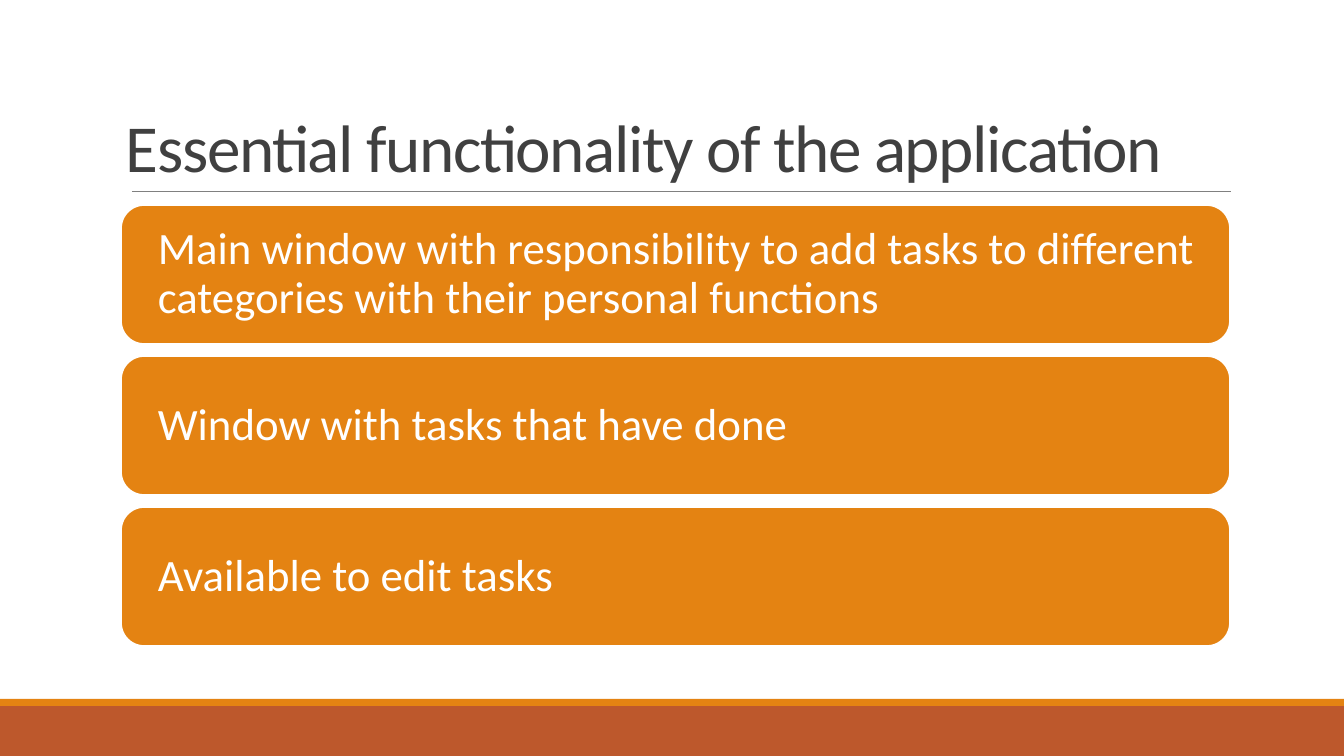
from lxml import etree
from pptx import Presentation
from pptx.dml.color import RGBColor
from pptx.enum.shapes import MSO_CONNECTOR, MSO_SHAPE
from pptx.enum.text import MSO_ANCHOR, MSO_AUTO_SIZE, PP_ALIGN
from pptx.oxml.ns import qn
from pptx.util import Pt

RECT, ROUNDED = MSO_SHAPE.RECTANGLE, MSO_SHAPE.ROUNDED_RECTANGLE
STRAIGHT = MSO_CONNECTOR.STRAIGHT
MIDDLE, BOTTOM = MSO_ANCHOR.MIDDLE, MSO_ANCHOR.BOTTOM
LEFT, NO_AUTOFIT = PP_ALIGN.LEFT, MSO_AUTO_SIZE.NONE

TITLE = "Essential functionality of the application"
FUNCTIONS = [
    "Main window with responsibility to add tasks to different categories "
    "with their personal functions",
    "Window with tasks that have done",
    "Available to edit tasks",
]
FONT = "Calibri"
ORANGE, RUST, WHITE = "E48312", "BD582C", "FFFFFF"
TITLE_COLOR, RULE_COLOR = "404040", "808080"

SLIDE_W, SLIDE_H = 1344, 756
FOOTER_BANDS = [(706, 50, RUST), (699, 7, ORANGE)]  # top, height, colour
RULE_LEFT, RULE_RIGHT, RULE_Y = 132, 1231, 191
TITLE_BOX = (121, 31, 1109, 160)
CARD_LEFT, CARD_TOP, CARD_W, CARD_H = 121, 205, 1109, 139
CARD_PITCH = 151
CARD_INSET, TITLE_INSET, HANGING = 20, 5, 10


def px(length):
    return round(length * 12192000 / SLIDE_W)


def color(hex_string):
    return RGBColor.from_string(hex_string)


def add_filled(slide, preset, box, fill):
    shape = slide.shapes.add_shape(preset, *map(px, box))
    shape.shadow.inherit = False
    shape.fill.solid()
    shape.fill.fore_color.rgb = color(fill)
    shape.line.fill.background()
    return shape


def set_text(shape, text, size, ink, spacing, inset, anchor):
    """Fill the shape with one formatted paragraph and return the paragraph."""
    frame = shape.text_frame
    frame.text = text
    frame.word_wrap = True
    frame.auto_size = NO_AUTOFIT
    frame.vertical_anchor = anchor
    frame.margin_left = frame.margin_right = px(inset)
    frame.margin_top = frame.margin_bottom = px(TITLE_INSET)
    paragraph = frame.paragraphs[0]
    paragraph.alignment = LEFT
    paragraph.line_spacing = spacing
    font = paragraph.runs[0].font
    font.name, font.size = FONT, Pt(size)
    font.color.rgb = color(ink)
    return paragraph


def add_blank_bullet(paragraph):
    """Hang the paragraph on a bullet that is a single space."""
    properties = paragraph._p.get_or_add_pPr()
    properties.set("marL", str(px(HANGING)))
    properties.set("indent", str(-px(HANGING)))
    bullet_color = etree.SubElement(properties, qn("a:buClr"))
    etree.SubElement(bullet_color, qn("a:srgbClr"), val=ORANGE)
    etree.SubElement(properties, qn("a:buFont"), typeface=FONT)
    etree.SubElement(properties, qn("a:buChar"), char=" ")


def add_title(slide):
    title = slide.shapes.title
    title.left, title.top, title.width, title.height = map(px, TITLE_BOX)
    paragraph = set_text(title, TITLE, 48, TITLE_COLOR, 0.85, TITLE_INSET, BOTTOM)
    paragraph.runs[0].font._element.set("spc", "-100")


def add_rule(slide):
    rule = slide.shapes.add_connector(
        STRAIGHT, *map(px, (RULE_LEFT, RULE_Y, RULE_RIGHT, RULE_Y)))
    rule.line.color.rgb = color(RULE_COLOR)
    rule.line.width = Pt(0.5)
    etree.SubElement(rule._element.spPr, qn("a:effectLst"))


def add_card(slide, index, text):
    top = CARD_TOP + index * CARD_PITCH
    card = add_filled(slide, ROUNDED, (CARD_LEFT, top, CARD_W, CARD_H), ORANGE)
    card.line.color.rgb = color(WHITE)
    card.line.width = Pt(1.25)
    add_blank_bullet(set_text(card, text, 32, WHITE, 0.9, CARD_INSET, MIDDLE))


def main():
    deck = Presentation()
    deck.slide_width, deck.slide_height = px(SLIDE_W), px(SLIDE_H)
    slide = deck.slides.add_slide(deck.slide_layouts[5])
    for top, height, fill in FOOTER_BANDS:
        add_filled(slide, RECT, (0, top, SLIDE_W, height), fill)
    add_rule(slide)
    add_title(slide)
    for index, text in enumerate(FUNCTIONS):
        add_card(slide, index, text)
    deck.save("out.pptx")


if __name__ == "__main__":
    main()
